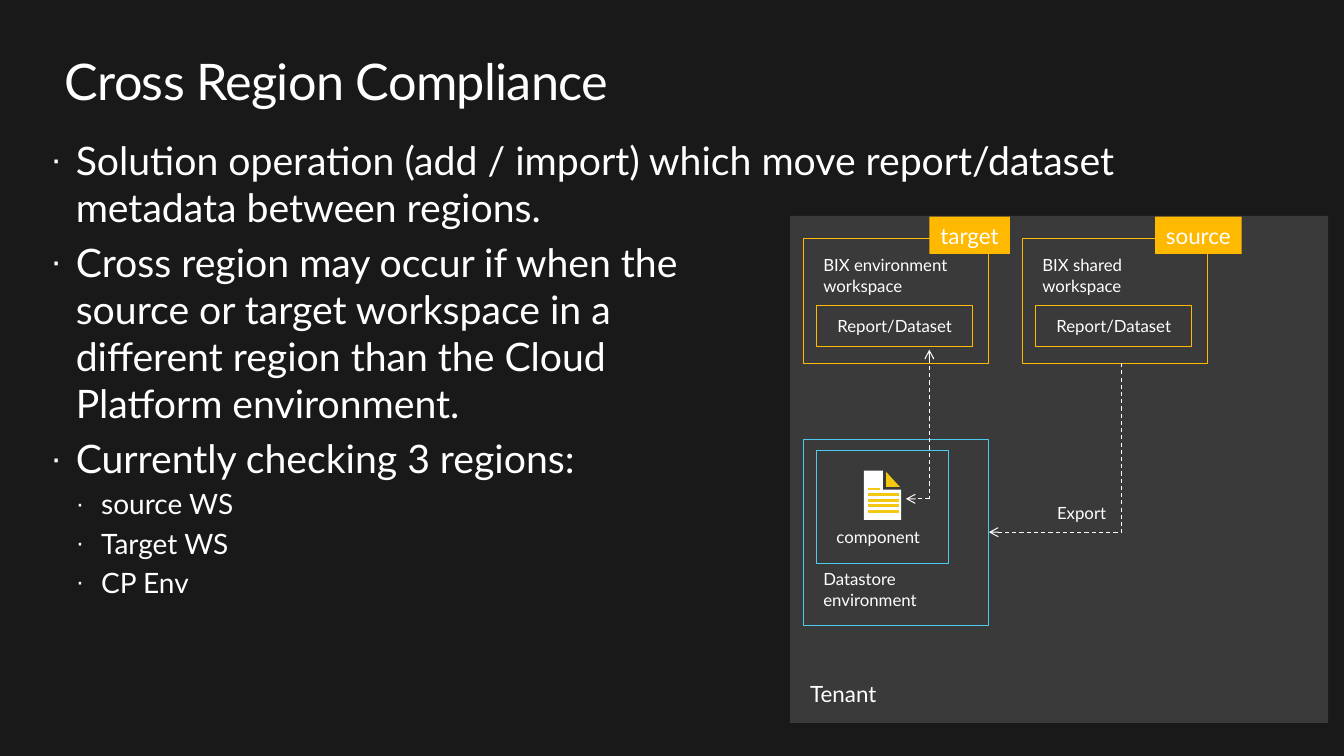
from lxml.etree import SubElement
from pptx import Presentation
from pptx.dml.color import RGBColor
from pptx.enum.dml import MSO_LINE
from pptx.enum.shapes import MSO_CONNECTOR, MSO_SHAPE
from pptx.enum.text import MSO_ANCHOR, MSO_AUTO_SIZE, PP_ALIGN
from pptx.oxml.ns import qn
from pptx.util import Cm, Pt

FONT = "Lato"
BACKGROUND, PANEL, WHITE = "191919", "3A3A3A", "FFFFFF"
AMBER, CYAN, YELLOW = "FFB900", "4CCBED", "F2C811"

TITLE = "Cross Region Compliance"
BULLETS = [
    (0, ["Solution operation (add / import) which move report/dataset metadata between regions."]),
    (0, ["Cross region may occur if when the",
         "source or target workspace in a",
         "different region than the Cloud",
         "Platform environment."]),
    (0, ["Currently checking 3 regions:"]),
    (1, ["source WS"]),
    (1, ["Target WS"]),
    (1, ["CP Env"]),
]
BULLET_SIZES = [28, 20]
INDENT = 0.64

WORKSPACES = [(20.24, "BIX environment workspace"), (25.76, "BIX shared workspace")]
TAGS = [(29.11, 2.18, "source"), (23.42, 2.03, "target")]
INSET = (0.51, 0.41)
NO_INSET = (0, 0)
TAG_INSET = (0.25, 0.13)

DOCUMENT = [(21.77, 11.86), (21.77, 13.1), (22.71, 13.1), (22.71, 12.34), (22.25, 12.34), (22.25, 11.86)]
FOLD = [(22.33, 12.27), (22.68, 12.27), (22.33, 11.89)]
STRIPE_LEFT, STRIPE_TOP, STRIPE_STEP, STRIPE_HEIGHT = 21.87, 12.29, 0.14, 0.07
STRIPE_WIDTHS = [0.3, 0.78, 0.78, 0.78, 0.78]


def color(value):
    return RGBColor.from_string(value)


def place(shape, left, top, width, height):
    shape.left, shape.top, shape.width, shape.height = Cm(left), Cm(top), Cm(width), Cm(height)


def add_span(para, text, size):
    span = para.add_run()
    span.text = text
    span.font.name = FONT
    span.font.size = Pt(size)
    span.font.color.rgb = color(WHITE)
    return span


def set_frame(frame, inset, anchor, wrap=True):
    frame.margin_left = frame.margin_right = Cm(inset[0])
    frame.margin_top = frame.margin_bottom = Cm(inset[1])
    frame.vertical_anchor = anchor
    frame.word_wrap = wrap
    frame.auto_size = MSO_AUTO_SIZE.NONE


def add_box(page, area, text, size=12, fill=None, line=None, inset=INSET,
            anchor=MSO_ANCHOR.TOP, align=PP_ALIGN.LEFT, wrap=True):
    box = page.shapes.add_shape(MSO_SHAPE.RECTANGLE, *map(Cm, area))
    box.shadow.inherit = False
    if fill:
        box.fill.solid()
        box.fill.fore_color.rgb = color(fill)
    else:
        box.fill.background()
    if line:
        box.line.color.rgb = color(line)
        box.line.width = Pt(0.75)
    else:
        box.line.fill.background()
    set_frame(box.text_frame, inset, anchor, wrap)
    para = box.text_frame.paragraphs[0]
    para.alignment = align
    add_span(para, text, size)


def add_outline(page, points, fill):
    corners = [(Cm(x), Cm(y)) for x, y in points]
    builder = page.shapes.build_freeform(*corners[0])
    builder.add_line_segments(corners[1:], close=True)
    outline = builder.convert_to_shape()
    outline.shadow.inherit = False
    outline.fill.solid()
    outline.fill.fore_color.rgb = color(fill)
    outline.line.fill.background()


def add_arrow(page, start, end, arrow_end, kind=MSO_CONNECTOR.STRAIGHT):
    arrow = page.shapes.add_connector(kind, *map(Cm, (*start, *end)))
    arrow.line.color.rgb = color(WHITE)
    arrow.line.width = Pt(0.75)
    arrow.line.dash_style = MSO_LINE.DASH
    properties = arrow._element.spPr
    SubElement(properties.find(qn("a:ln")), qn(arrow_end), type="arrow")
    SubElement(properties, qn("a:effectLst"))
    return arrow


def add_down_left_arrow(page, start, end):
    across, down = start[0] - end[0], end[1] - start[1]
    center_x, center_y = (start[0] + end[0]) / 2, (start[1] + end[1]) / 2
    arrow = add_arrow(page, (center_x - down / 2, center_y - across / 2),
                      (center_x + down / 2, center_y + across / 2),
                      "a:tailEnd", MSO_CONNECTOR.ELBOW)
    properties = arrow._element.spPr
    properties.find(qn("a:xfrm")).set("rot", "5400000")
    properties.find(qn("a:prstGeom")).set("prst", "bentConnector2")


def add_title(page):
    title = page.shapes.title
    place(title, 1.63, 1.27, 28.65, 1.55)
    set_frame(title.text_frame, NO_INSET, MSO_ANCHOR.TOP)
    para = title.text_frame.paragraphs[0]
    para.alignment = PP_ALIGN.LEFT
    span = add_span(para, TITLE, 36)
    span._r.get_or_add_rPr().set("spc", "-50")


def add_bullets(page):
    body = page.placeholders[1]
    place(body, 1.02, 3.3, 30.61, 13.44)
    frame = body.text_frame
    set_frame(frame, TAG_INSET, MSO_ANCHOR.TOP)
    for number, (level, lines) in enumerate(BULLETS):
        para = frame.add_paragraph() if number else frame.paragraphs[0]
        size = BULLET_SIZES[level]
        para.level = level
        para.space_before = Pt(size * 0.2 if number else 0)
        properties = para._p.get_or_add_pPr()
        properties.set("marL", str(Cm(INDENT * (level + 1))))
        properties.set("indent", str(-Cm(INDENT)))
        SubElement(properties, qn("a:buSzPct"), val="90000")
        SubElement(properties, qn("a:buChar"), char="·")
        for position, line in enumerate(lines):
            if position:
                para.add_line_break()
            add_span(para, line, size)


def add_workspace(page, left, name):
    add_box(page, (left, 6.02, 4.67, 3.13), name, line=AMBER)
    add_box(page, (left + 0.34, 7.71, 3.94, 1.02), "Report/Dataset", line=AMBER,
            inset=NO_INSET, anchor=MSO_ANCHOR.MIDDLE, align=PP_ALIGN.CENTER)


def add_document(page):
    add_outline(page, DOCUMENT, WHITE)
    add_outline(page, FOLD, YELLOW)
    for row, width in enumerate(STRIPE_WIDTHS):
        top = STRIPE_TOP + row * STRIPE_STEP
        right, bottom = STRIPE_LEFT + width, top + STRIPE_HEIGHT
        add_outline(page, [(STRIPE_LEFT, top), (right, top), (right, bottom), (STRIPE_LEFT, bottom)], YELLOW)


def add_diagram(page):
    add_box(page, (19.91, 5.44, 13.56, 12.78), "Tenant", 16, fill=PANEL, anchor=MSO_ANCHOR.BOTTOM)
    for left, name in WORKSPACES:
        add_workspace(page, left, name)
    add_box(page, (20.24, 11.07, 4.67, 4.7), "Datastore environment", line=CYAN, anchor=MSO_ANCHOR.BOTTOM)
    add_box(page, (20.57, 11.35, 3.33, 2.84), "component", line=CYAN, anchor=MSO_ANCHOR.BOTTOM)
    add_document(page)
    corner = (23.42, 12.57)
    add_arrow(page, (23.42, 8.81), corner, "a:headEnd")
    add_arrow(page, corner, (22.83, 12.57), "a:tailEnd")
    label = page.shapes.add_textbox(*map(Cm, (26.39, 12.55, 1.93, 0.76)))
    set_frame(label.text_frame, TAG_INSET, MSO_ANCHOR.TOP)
    add_span(label.text_frame.paragraphs[0], "Export", 12)
    add_down_left_arrow(page, (28.27, 9.15), (24.92, 13.41))
    for left, width, name in TAGS:
        add_box(page, (left, 5.46, width, 0.94), name, 16, fill=AMBER,
                inset=TAG_INSET, align=PP_ALIGN.CENTER, wrap=False)


def main():
    deck = Presentation()
    deck.slide_width, deck.slide_height = Cm(33.87), Cm(19.05)
    page = deck.slides.add_slide(deck.slide_layouts[1])
    page.background.fill.solid()
    page.background.fill.fore_color.rgb = color(BACKGROUND)
    add_title(page)
    add_bullets(page)
    add_diagram(page)
    deck.save("out.pptx")


if __name__ == "__main__":
    main()
